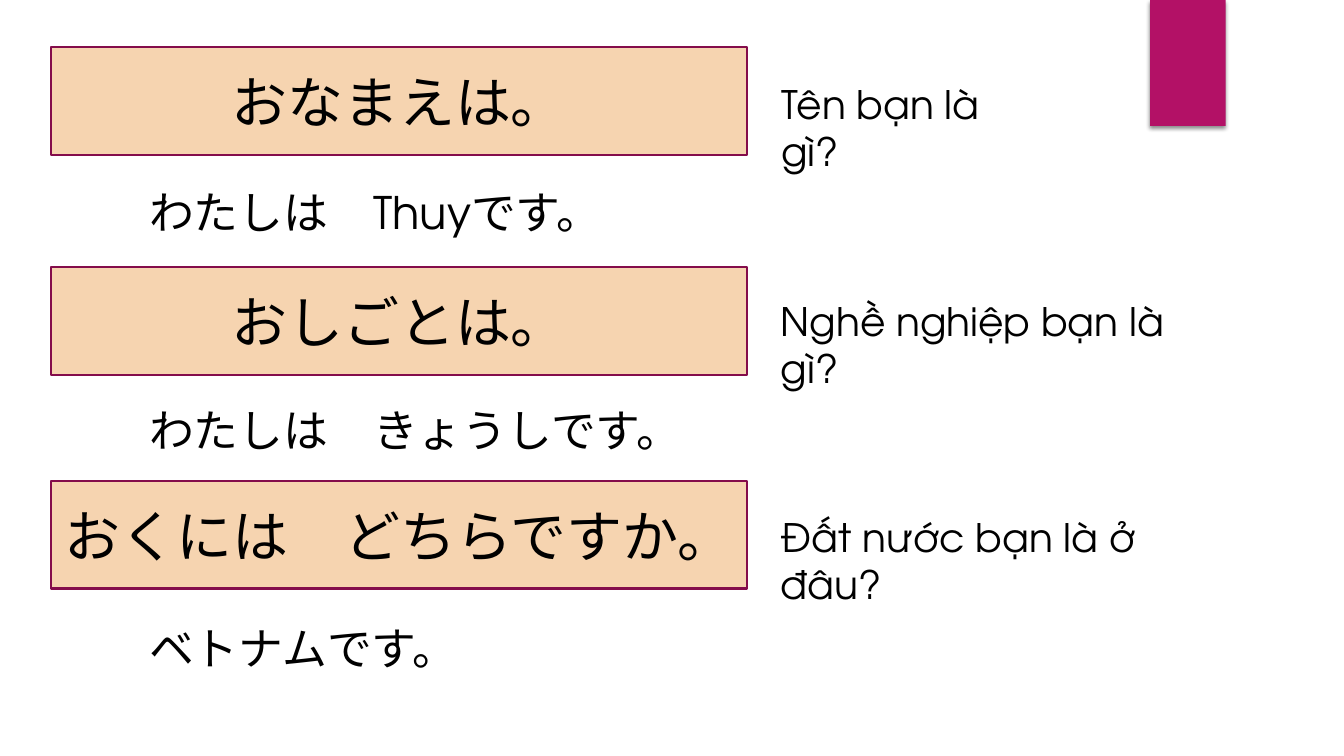
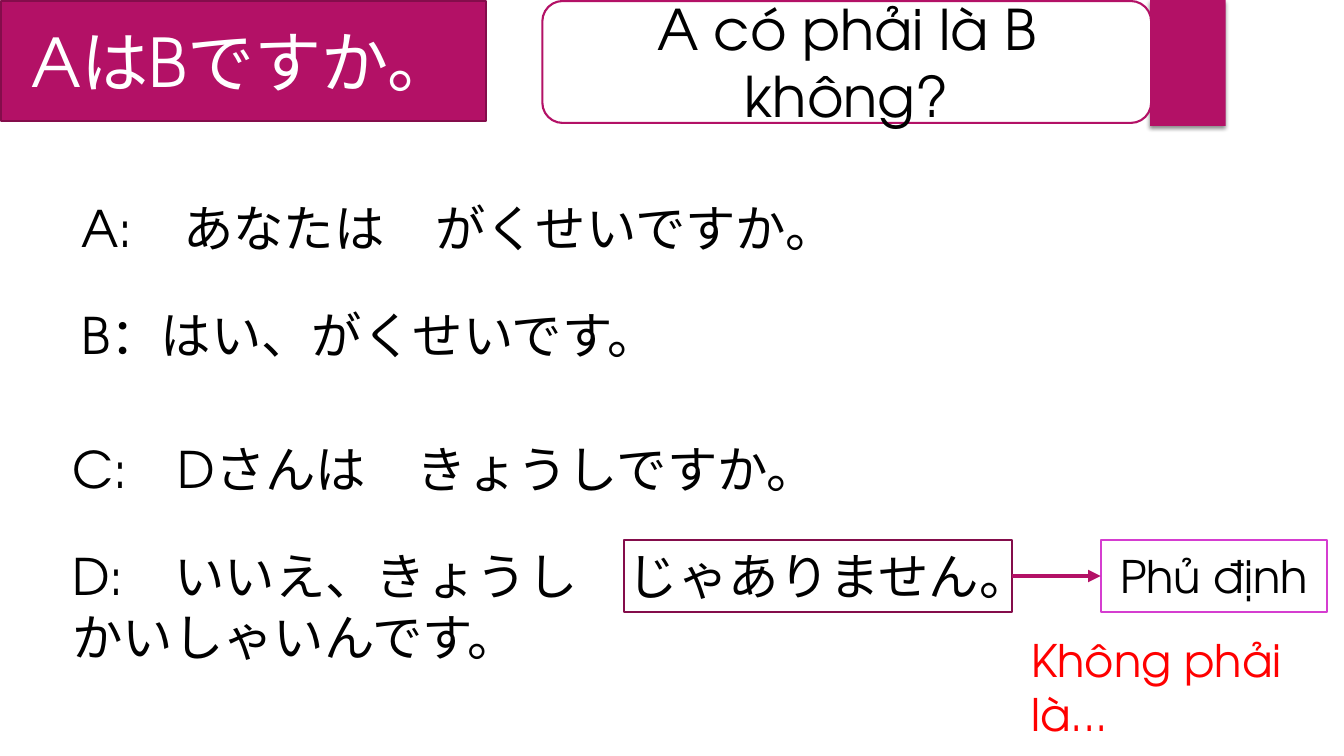
from lxml import etree
from pptx import Presentation
from pptx.dml.color import RGBColor
from pptx.enum import shapes as es, text as et
from pptx.oxml import parse_xml
from pptx.oxml.ns import nsdecls, qn
from pptx.util import Pt

MAGENTA = RGBColor(0xB3, 0x11, 0x66)
PLUM = RGBColor(0x84, 0x0D, 0x4B)
ORCHID = RGBColor(0xD5, 0x3D, 0xD0)
PEACH = RGBColor(0xF6, 0xD4, 0xB0)
RED = RGBColor(0xFF, 0x00, 0x00)
BLACK = RGBColor(0x00, 0x00, 0x00)
WHITE = RGBColor(0xFF, 0xFF, 0xFF)

FONT = "TeX Gyre Adventor"
TITLE_ONLY, BLANK = 5, 6
RECT = es.MSO_SHAPE.RECTANGLE
ROUND = es.MSO_SHAPE.ROUNDED_RECTANGLE
TAB_SHADOW = (
    f'<a:effectLst {nsdecls("a")}>'
    '<a:outerShdw blurRad="38100" dist="25400" dir="5400000" rotWithShape="0">'
    '<a:srgbClr val="000000"><a:alpha val="45000"/></a:srgbClr>'
    '</a:outerShdw></a:effectLst>')


class Deck:
    """Holds the presentation, its style and the current slide."""

    def __init__(self):
        self.prs = Presentation()
        self.prs.slide_width, self.prs.slide_height = Pt(960), Pt(540)
        self.s = None

    def slide(self, layout):
        self.s = self.prs.slides.add_slide(self.prs.slide_layouts[layout])
        tab = self.box((821.5, 0, 54, 90), fill=MAGENTA, line=None)
        sp_pr = tab._element.spPr
        sp_pr.remove(sp_pr.find(qn("a:effectLst")))
        sp_pr.append(parse_xml(TAB_SHADOW))

    def fill_text(self, sp, lines, size, color, align, **frame):
        tf = sp.text_frame
        for name, value in {"word_wrap": True, **frame}.items():
            setattr(tf, name, value)
        tf.text = "\n".join(lines)
        for p in tf.paragraphs:
            p.alignment = align
            fmt = {"name": FONT, "size": Pt(size), "bold": False}
            for name, value in fmt.items():
                setattr(p.runs[0].font, name, value)
            p.runs[0].font.color.rgb = color

    def style(self, sp, fill, line):
        for part, color in ((sp.fill, fill), (sp.line.fill, line)):
            if color is None:
                part.background()
            else:
                part.solid()
                part.fore_color.rgb = color
        if line is not None:
            sp.line.width = Pt(1.5)

    def label(self, sp, words, size, color):
        self.fill_text(sp, [words], size, color, et.PP_ALIGN.CENTER,
                       vertical_anchor=et.MSO_ANCHOR.MIDDLE,
                       auto_size=et.MSO_AUTO_SIZE.NONE)

    def title(self, at, words, size):
        sp = self.s.shapes.title
        sp.left, sp.top, sp.width, sp.height = map(Pt, at)
        self.style(sp, MAGENTA, PLUM)
        self.label(sp, words, size, WHITE)

    def box(self, at, words=None, size=40, fill=WHITE, line=PLUM, shape=RECT):
        sp = self.s.shapes.add_shape(shape, *map(Pt, at))
        sp.shadow.inherit = False
        self.style(sp, fill, line)
        if words:
            self.label(sp, words, size, BLACK)
        return sp

    def text(self, at, *lines, size=32, color=BLACK):
        sp = self.s.shapes.add_textbox(*map(Pt, at))
        self.fill_text(sp, lines, size, color, et.PP_ALIGN.LEFT,
                       auto_size=et.MSO_AUTO_SIZE.SHAPE_TO_FIT_TEXT)

    def arrow(self, start, end):
        cx = self.s.shapes.add_connector(es.MSO_CONNECTOR.STRAIGHT, 0, 0, 0, 0)
        cx.begin_connect(start, 3)
        cx.end_connect(end, 1)
        cx.line.color.rgb = MAGENTA
        cx.line.width = Pt(3)
        sp_pr = cx._element.spPr
        etree.SubElement(sp_pr.find(qn("a:ln")), qn("a:tailEnd"), type="triangle")
        etree.SubElement(sp_pr, qn("a:effectLst"))


def introductions(d):
    d.slide(BLANK)
    # Each row: question (top), answer (top, width), meaning (top, width)
    rows = [
        (33.8, "おなまえは。", 128.2, 343.4, "わたしは　Thuyです。",
         54, 195.8, "Tên bạn là gì?"),
        (190.8, "おしごとは。", 284.4, 402.5, "わたしは　きょうしです。",
         208.8, 307.4, "Nghề nghiệp bạn là gì?"),
        (343.4, "おくには　どちらですか。", 440, 240.5, "ベトナムです。",
         362.9, 316, "Đất nước bạn là ở đâu?"),
    ]
    for q_top, question, a_top, a_width, answer, m_top, m_width, meaning in rows:
        d.box((36.7, q_top, 496.8, 77), question, fill=PEACH)
        d.text((99.4, a_top, a_width, 46), answer)
        d.text((550.8, m_top, m_width, 41), meaning, size=28)


def yes_no_questions(d):
    d.slide(TITLE_ONLY)
    # Pattern and its meaning
    d.title((0.7, 0.7, 346.3, 85.7), "AはBですか。", 48)
    d.box((387.4, 0.7, 434.9, 87.1), "A có phải là B không?",
          line=MAGENTA, shape=ROUND)

    # Dialogue
    dialogue = [
        (51.1, 137.5, 560.2, ["A:　あなたは　がくせいですか。"]),
        (51.1, 213.8, 434.9, ["B：はい、がくせいです。"]),
        (44.6, 309.6, 553.7, ["C:　Dさんは　きょうしですか。"]),
        (44.6, 385.9, 706.3, ["D:　いいえ、きょうし　じゃありません。",
                              "かいしゃいんです。"]),
    ]
    for left, top, width, lines in dialogue:
        d.text((left, top, width, 51), *lines, size=36)

    # Negative ending, pointed out
    ending = d.box((445.7, 385.9, 277.2, 51.1), fill=None)
    negative = d.box((786.2, 385.9, 162, 51.1), "Phủ định", 32, line=ORCHID)
    d.arrow(ending, negative)
    d.text((729.4, 448.6, 239, 46), "Không phải là...", color=RED)


def main():
    d = Deck()
    introductions(d)
    yes_no_questions(d)
    d.prs.save("out.pptx")


if __name__ == "__main__":
    main()
